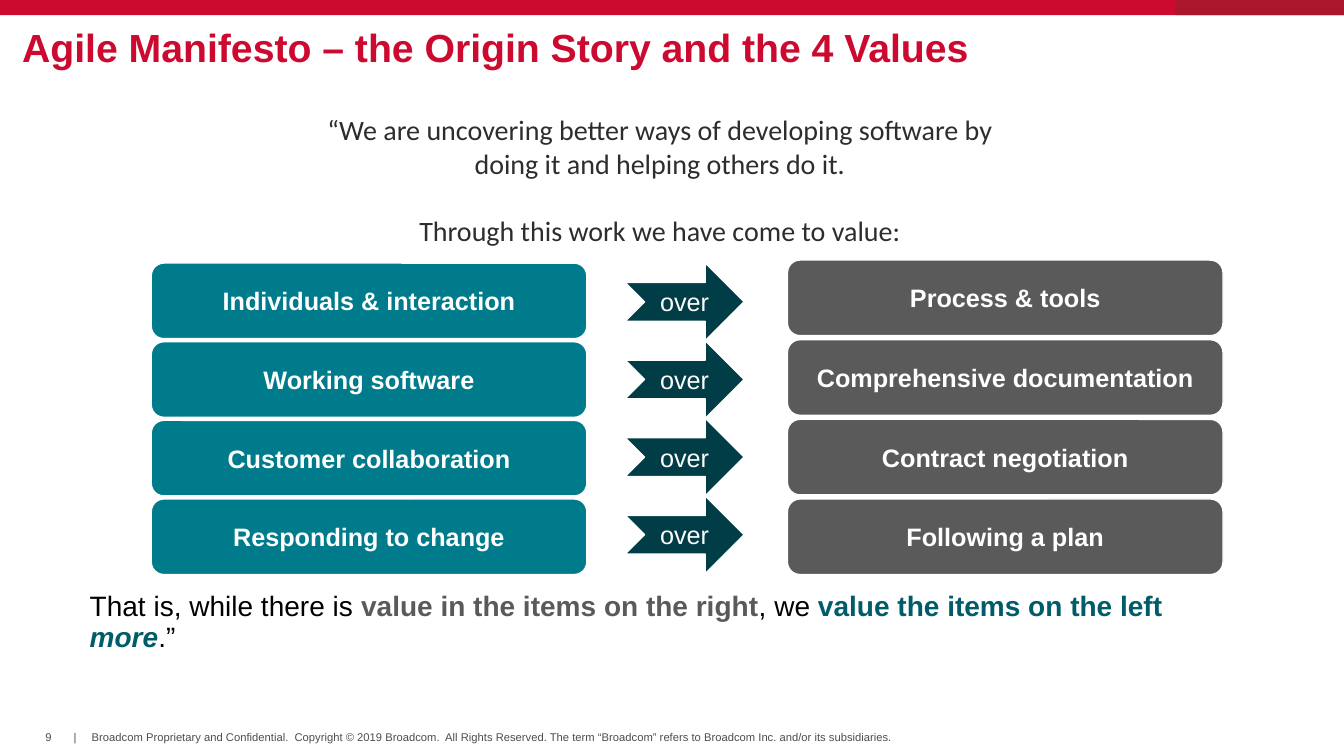
from pptx import Presentation
from pptx.dml.color import RGBColor
from pptx.enum import shapes, text
from pptx.util import Inches, Pt

RED = RGBColor(0xCC, 0x09, 0x2F)
DARK_RED = RGBColor(0xAB, 0x16, 0x2C)
TEAL = RGBColor(0x00, 0x7B, 0x8C)
DEEP_TEAL = RGBColor(0x00, 0x5C, 0x69)
DARK_TEAL = RGBColor(0x00, 0x3D, 0x46)
GREY = RGBColor(0x5A, 0x5A, 0x5A)
FOOTER_GREY = RGBColor(0x4D, 0x4D, 0x4F)
INK = RGBColor(0x2D, 0x2D, 0x2D)
BLACK = RGBColor(0x00, 0x00, 0x00)
WHITE = RGBColor(0xFF, 0xFF, 0xFF)

RECT = shapes.MSO_SHAPE.RECTANGLE
ROUNDED = shapes.MSO_SHAPE.ROUNDED_RECTANGLE
ARROW = shapes.MSO_SHAPE.NOTCHED_RIGHT_ARROW

LEFT_VALUES = ["Individuals & interaction", "Working software",
               "Customer collaboration", "Responding to change"]
RIGHT_VALUES = ["Process & tools", "Comprehensive documentation",
                "Contract negotiation", "Following a plan"]
COPYRIGHT = ("Broadcom Proprietary and Confidential.  Copyright © 2019 Broadcom.  "
             "All Rights Reserved. The term “Broadcom” refers to Broadcom Inc. "
             "and/or its subsidiaries.")


def set_font(font, size, color, bold=False, italic=False, name="Arial"):
    font.name, font.size = name, Pt(size)
    font.bold, font.italic = bold, italic
    font.color.rgb = color


def clear_margins(tf):
    tf.margin_left = tf.margin_right = tf.margin_top = tf.margin_bottom = 0


def add_box(s, x, y, w, h, wrap=True):
    tf = s.shapes.add_textbox(Inches(x), Inches(y), Inches(w), Inches(h)).text_frame
    tf.word_wrap = wrap
    return tf


def add_block(s, kind, x, y, w, h, fill):
    sp = s.shapes.add_shape(kind, Inches(x), Inches(y), Inches(w), Inches(h))
    sp.shadow.inherit = False
    sp.fill.solid()
    sp.fill.fore_color.rgb = fill
    sp.line.fill.background()
    return sp


def add_top_band(s, w, h, accent_w):
    add_block(s, RECT, 0, 0, w, h, RED)
    add_block(s, RECT, w - accent_w, 0, accent_w, h, DARK_RED)


def add_title(s, x, y, w, h):
    sp = s.shapes.title
    sp.left, sp.top, sp.width, sp.height = map(Inches, (x, y, w, h))
    tf = sp.text_frame
    clear_margins(tf)
    tf.vertical_anchor = text.MSO_ANCHOR.MIDDLE
    tf.text = "Agile Manifesto – the Origin Story and the 4 Values"
    p = tf.paragraphs[0]
    p.alignment = text.PP_ALIGN.LEFT
    p.line_spacing = 0.85
    set_font(p.runs[0].font, 28, RED, bold=True)


def add_quote(s, x, y, w, h):
    tf = add_box(s, x, y, w, h)
    tf.text = ("“We are uncovering better ways of developing software by doing it "
               "and helping others do it.\nThrough this work we have come to value:")
    for p in tf.paragraphs:
        p.alignment = text.PP_ALIGN.CENTER
        set_font(p.runs[0].font, 20, INK, name="Calibri")
    tf.paragraphs[1].space_before = Pt(24)


def add_column(s, kind, labels, x, y, w, h, pitch, fill, bold=True):
    for i, label in enumerate(labels):
        sp = add_block(s, kind, x, y + i * pitch, w, h, fill)
        sp.line.color.rgb = WHITE
        sp.line.width = Pt(1)
        tf = sp.text_frame
        tf.vertical_anchor = text.MSO_ANCHOR.MIDDLE
        tf.text = label
        p = tf.paragraphs[0]
        p.alignment = text.PP_ALIGN.CENTER
        set_font(p.runs[0].font, 18, WHITE, bold=bold)


def add_closing(s, x, y, w, h):
    tf = add_box(s, x, y, w, h)
    clear_margins(tf)
    p = tf.paragraphs[0]
    p.line_spacing = 0.9
    for words, color, bold, italic in [
            ("That is, while there is ", BLACK, False, False),
            ("value in the items on the right", GREY, True, False),
            (", we ", BLACK, False, False),
            ("value the items on the left ", DEEP_TEAL, True, False),
            ("more", DEEP_TEAL, True, True),
            (".”", BLACK, False, False)]:
        r = p.add_run()
        r.text = words
        set_font(r.font, 20, color, bold, italic)


def add_footer(s, y, h):
    for words, x, w in [("9", 0.45, 0.14), ("|", 0.73, 0.03), (COPYRIGHT, 0.91, 8.01)]:
        tf = add_box(s, x, y, w, h, wrap=False)
        clear_margins(tf)
        tf.vertical_anchor = text.MSO_ANCHOR.MIDDLE
        tf.text = words
        set_font(tf.paragraphs[0].runs[0].font, 8, FOOTER_GREY)


def main():
    prs = Presentation()
    prs.slide_width, prs.slide_height = Inches(13.33), Inches(7.5)
    s = prs.slides.add_slide(prs.slide_layouts[5])

    # Frame and heading
    add_footer(s, 7.25, 0.13)
    add_top_band(s, 13.33, 0.15, 1.67)
    add_title(s, 0.22, 0.3, 12.43, 0.4)

    # Four values: left over right
    add_column(s, ROUNDED, LEFT_VALUES, 1.5, 2.61, 4.32, 0.75, 0.78, TEAL)
    add_column(s, ROUNDED, RIGHT_VALUES, 7.81, 2.58, 4.32, 0.75, 0.79, GREY)
    add_column(s, ARROW, ["over"] * 4, 6.2, 2.61, 1.18, 0.77, 0.77, DARK_TEAL, bold=False)

    # Opening and closing words
    add_closing(s, 0.89, 5.88, 11.5, 0.3)
    add_quote(s, 2.8, 1.07, 7.49, 1.45)
    prs.save("out.pptx")


if __name__ == "__main__":
    main()
